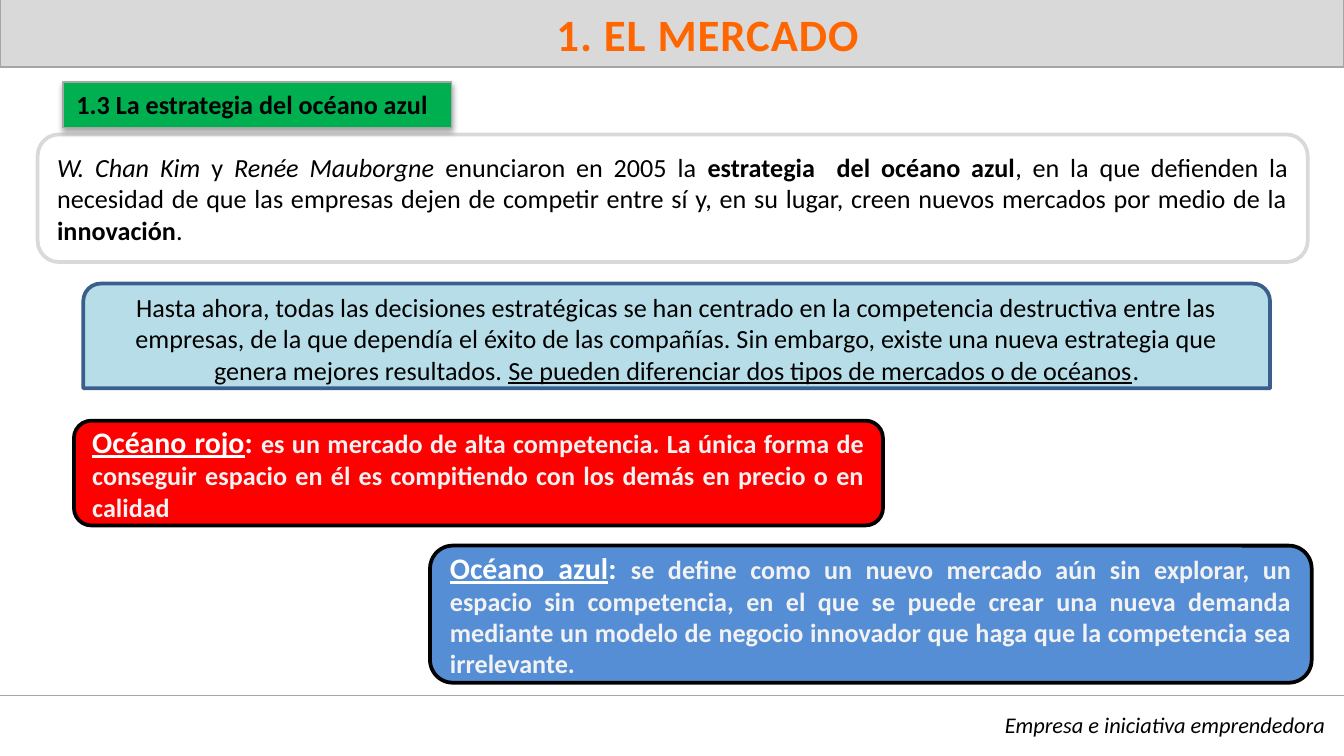
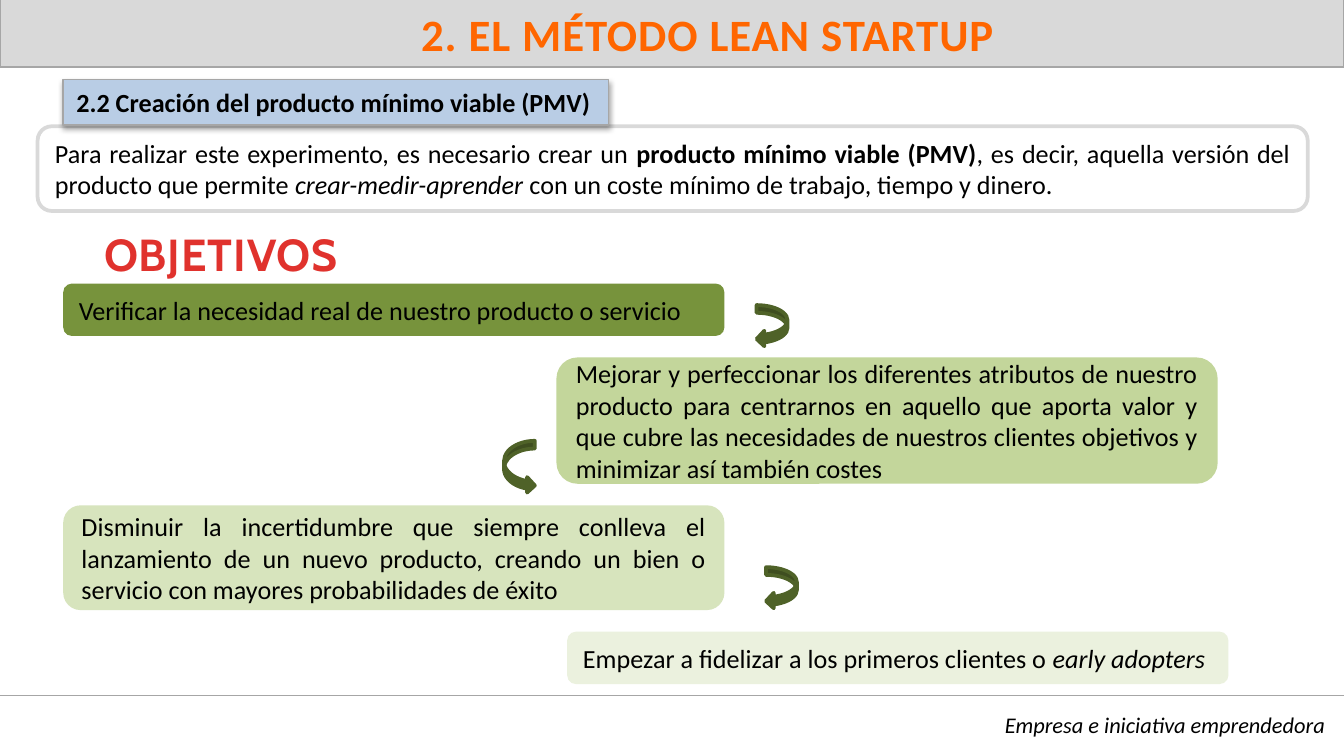
from dataclasses import dataclass

from lxml import etree
from pptx import Presentation
from pptx import util as u
from pptx.dml.color import RGBColor
from pptx.enum import shapes, text
from pptx.oxml.ns import qn

SHAPE = shapes.MSO_SHAPE
ALIGN = text.PP_ALIGN
ANCHOR = text.MSO_ANCHOR
AUTO = text.MSO_AUTO_SIZE


@dataclass(frozen=True)
class Theme:
    font: str = "Calibri"
    display_font: str = "Cabin"
    title_size: int = 24
    lead_size: int = 16
    body_size: int = 14
    footer_size: int = 12
    ink: str = "000000"
    white: str = "FFFFFF"
    off_white: str = "F2F2F2"
    title: str = "FF6600"
    band: str = "D9D9D9"
    rule: str = "A6A6A6"
    tag_green: str = "00B050"
    tag_blue: str = "B9CDE5"
    pale_blue: str = "B7DEE8"
    navy: str = "3A5F8C"
    red_ocean: str = "FF0000"
    blue_ocean: str = "558ED5"
    heading: tuple = ("E0322D", "A2201C")
    goals: tuple = ("77933C", "C3D69B", "D7E4BD", "EBF1DE")
    arrow: str = "4F6228"


T = Theme()


def rgb(color):
    return RGBColor.from_string(color)


def box_of(x, y, w, h):
    return [u.Inches(v) for v in (x, y, w, h)]


def add_run(p, words, size=T.body_size, color=T.ink, font=T.font,
            bold=False, italic=False, underline=False, spacing=None):
    r = p.add_run()
    r.text = words
    f = r.font
    f.name, f.size = font, u.Pt(size)
    f.bold, f.italic, f.underline = bold, italic, underline
    f.color.rgb = rgb(color)
    if spacing:
        r._r.get_or_add_rPr().set("spc", str(int(spacing * 100)))
    return r


def write(sp, runs, align):
    """Fill the first paragraph; each run is plain words or (words, options)."""
    tf = sp.text_frame
    tf.word_wrap = True
    p = tf.paragraphs[0]
    p.alignment = align
    for run in runs:
        words, style = (run, {}) if isinstance(run, str) else run
        add_run(p, words, **style)
    return tf


def paint(sp, fill=None, line=None, width=2):
    if fill:
        sp.fill.solid()
        sp.fill.fore_color.rgb = rgb(fill)
    else:
        sp.fill.background()
    if line:
        sp.line.color.rgb = rgb(line)
        sp.line.width = u.Pt(width)
    else:
        sp.line.fill.background()


def add_panel(s, at, runs=(), fill=None, line=None, width=2,
              kind=SHAPE.ROUNDED_RECTANGLE, align=ALIGN.JUSTIFY):
    sp = s.shapes.add_shape(kind, *box_of(*at))
    sp.shadow.inherit = False
    paint(sp, fill, line, width)
    if runs:
        write(sp, runs, align).vertical_anchor = ANCHOR.MIDDLE
    return sp


def add_drop_shadow(sp):
    effects = sp._element.spPr.find(qn("a:effectLst"))
    shadow = etree.SubElement(effects, qn("a:outerShdw"), blurRad=str(u.Pt(3.1)),
                              dist=str(u.Pt(1.8)), dir="5400000", rotWithShape="0")
    color = etree.SubElement(shadow, qn("a:srgbClr"), val=T.ink)
    etree.SubElement(color, qn("a:alpha"), val="35000")


def add_section_tag(s, y, w, words, fill):
    sp = add_panel(s, (0.47, y, w, 0.34), [(words, dict(bold=True))], fill,
                   T.rule, 0.75, SHAPE.RECTANGLE, ALIGN.LEFT)
    sp.text_frame.vertical_anchor = ANCHOR.TOP
    sp.text_frame.auto_size = AUTO.SHAPE_TO_FIT_TEXT
    add_drop_shadow(sp)


def add_title_band(s, words):
    sp = s.shapes.title
    sp.left, sp.top, sp.width, sp.height = box_of(0, -0.01, 10, 0.51)
    paint(sp, T.band, T.rule, 0.75)
    style = dict(size=T.title_size, color=T.title, bold=True, spacing=0.5)
    tf = write(sp, [(words, style)], ALIGN.CENTER)
    tf.vertical_anchor = ANCHOR.BOTTOM
    tf.auto_size = AUTO.NONE
    pPr = tf.paragraphs[0]._p.get_or_add_pPr()
    pPr.set("marL", str(u.Inches(0.53)))
    pPr.set("indent", "0")


def add_footer(s):
    y = u.Inches(5.17) + u.Pt(0.3)
    rule = s.shapes.add_connector(shapes.MSO_CONNECTOR.STRAIGHT, 0, y, u.Inches(10), y)
    rule.line.color.rgb = rgb(T.rule)
    rule.line.width = u.Pt(0.75)
    etree.SubElement(rule._element.spPr, qn("a:effectLst"))
    sp = s.shapes.add_textbox(*box_of(0.9, 5.24, 9.06, 0.3))
    style = dict(size=T.footer_size, italic=True)
    tf = write(sp, [("Empresa e iniciativa emprendedora", style)], ALIGN.RIGHT)
    tf.auto_size = AUTO.SHAPE_TO_FIT_TEXT


def add_heading(s, at, words):
    sp = s.shapes.add_textbox(*box_of(*at))
    tf = sp.text_frame
    tf.word_wrap = False
    tf.auto_size = AUTO.SHAPE_TO_FIT_TEXT
    p = tf.paragraphs[0]
    p.alignment = ALIGN.CENTER
    r = add_run(p, words, T.title_size, font=T.display_font, bold=True, spacing=0.5)
    fill = r.font.fill
    fill.gradient()
    fill.gradient_angle = 270
    for stop, position, color in zip(fill.gradient_stops, (0.25, 1), T.heading):
        stop.position = position
        stop.color.rgb = rgb(color)


def add_ocean(s, at, fill, name, definition):
    lead = dict(size=T.lead_size, color=T.white, bold=True)
    runs = [(name, dict(lead, underline=True)), (": ", lead),
            (definition, dict(color=T.off_white, bold=True))]
    add_panel(s, at, runs, fill, T.ink)


def add_goals(s, goals, top=2.11, gap=0.16):
    """Stack the goal boxes downwards with equal gaps."""
    for (x, h, runs), fill in zip(goals, T.goals):
        add_panel(s, (x, top, 4.92, h), runs, fill)
        top += h + gap


def new_slide(prs, title):
    s = prs.slides.add_slide(prs.slide_layouts[5])
    add_title_band(s, title)
    add_footer(s)
    return s


def build_blue_ocean(prs):
    s = new_slide(prs, "1. EL MERCADO")
    add_panel(s, (0.28, 1, 9.45, 0.95), [
        ("W. Chan Kim", dict(italic=True)), " y ",
        ("Renée Mauborgne ", dict(italic=True)), "enunciaron en 2005 la ",
        ("estrategia  del océano azul", dict(bold=True)),
        ", en la que defienden la necesidad de que las empresas dejen de competir "
        "entre sí y, en su lugar, creen nuevos mercados por medio de la ",
        ("innovación", dict(bold=True)), ". "], line=T.band)
    add_section_tag(s, 0.61, 2.89, "1.3 La estrategia del océano azul", T.tag_green)
    add_panel(s, (0.62, 2.11, 8.83, 0.78), [
        "Hasta ahora, todas las decisiones estratégicas se han centrado en la "
        "competencia destructiva entre las empresas, de la que dependía el éxito de "
        "las compañías. Sin embargo, existe una nueva estrategia que genera mejores "
        "resultados. ",
        ("Se pueden diferenciar dos tipos de mercados o de océanos",
         dict(underline=True)), "."],
        T.pale_blue, T.navy, kind=SHAPE.ROUND_2_SAME_RECTANGLE, align=ALIGN.CENTER)
    add_ocean(s, (0.55, 3.13, 6.02, 0.78), T.red_ocean, "Océano rojo",
              "es un mercado de alta competencia. La única forma de conseguir espacio "
              "en él es compitiendo con los demás en precio o en calidad")
    add_ocean(s, (3.2, 4.06, 6.56, 1.02), T.blue_ocean, "Océano azul",
              "se define como un nuevo mercado aún sin explorar, un espacio sin "
              "competencia, en el que se puede crear una nueva demanda mediante un "
              "modelo de negocio innovador que haga que la competencia sea irrelevante.")


def build_viable_product(prs):
    s = new_slide(prs, "2. EL MÉTODO LEAN STARTUP")
    add_panel(s, (0.28, 0.94, 9.45, 0.63), [
        "Para realizar este experimento, es necesario crear un ",
        ("producto mínimo viable (PMV)", dict(bold=True)),
        ", es decir, aquella versión del producto que permite ",
        ("crear-medir-aprender", dict(italic=True)),
        " con un coste mínimo de trabajo, tiempo y dinero."], line=T.band)
    add_section_tag(s, 0.59, 4.06, "2.2 Creación del producto mínimo viable (PMV)",
                    T.tag_blue)
    add_heading(s, (0.62, 1.64, 2.05, 0.5), "OBJETIVOS")
    add_goals(s, [
        (0.47, 0.39, ["Verificar la necesidad real de nuestro producto o servicio"]),
        (4.14, 0.94, ["Mejorar y perfeccionar los diferentes atributos de nuestro "
                      "producto para centrarnos en aquello que aporta valor y que "
                      "cubre las necesidades de nuestros clientes objetivos y "
                      "minimizar así también costes"]),
        (0.47, 0.78, ["Disminuir la incertidumbre que siempre conlleva el lanzamiento "
                      "de un nuevo producto, creando un bien o servicio con mayores "
                      "probabilidades de éxito"]),
        (4.22, 0.39, ["Empezar a fidelizar a los primeros clientes o ",
                      ("early adopters", dict(italic=True))]),
    ])
    for kind, x, y, h in ((SHAPE.CURVED_LEFT_ARROW, 5.63, 2.27, 0.31),
                          (SHAPE.CURVED_RIGHT_ARROW, 3.75, 3.28, 0.39),
                          (SHAPE.CURVED_LEFT_ARROW, 5.7, 4.22, 0.31)):
        add_panel(s, (x, y, 0.23, h), fill=T.arrow, line=T.arrow, kind=kind)


def main():
    prs = Presentation()
    prs.slide_width = u.Inches(10)
    prs.slide_height = prs.slide_width * 9 // 16
    build_blue_ocean(prs)
    build_viable_product(prs)
    prs.save("out.pptx")


if __name__ == "__main__":
    main()
